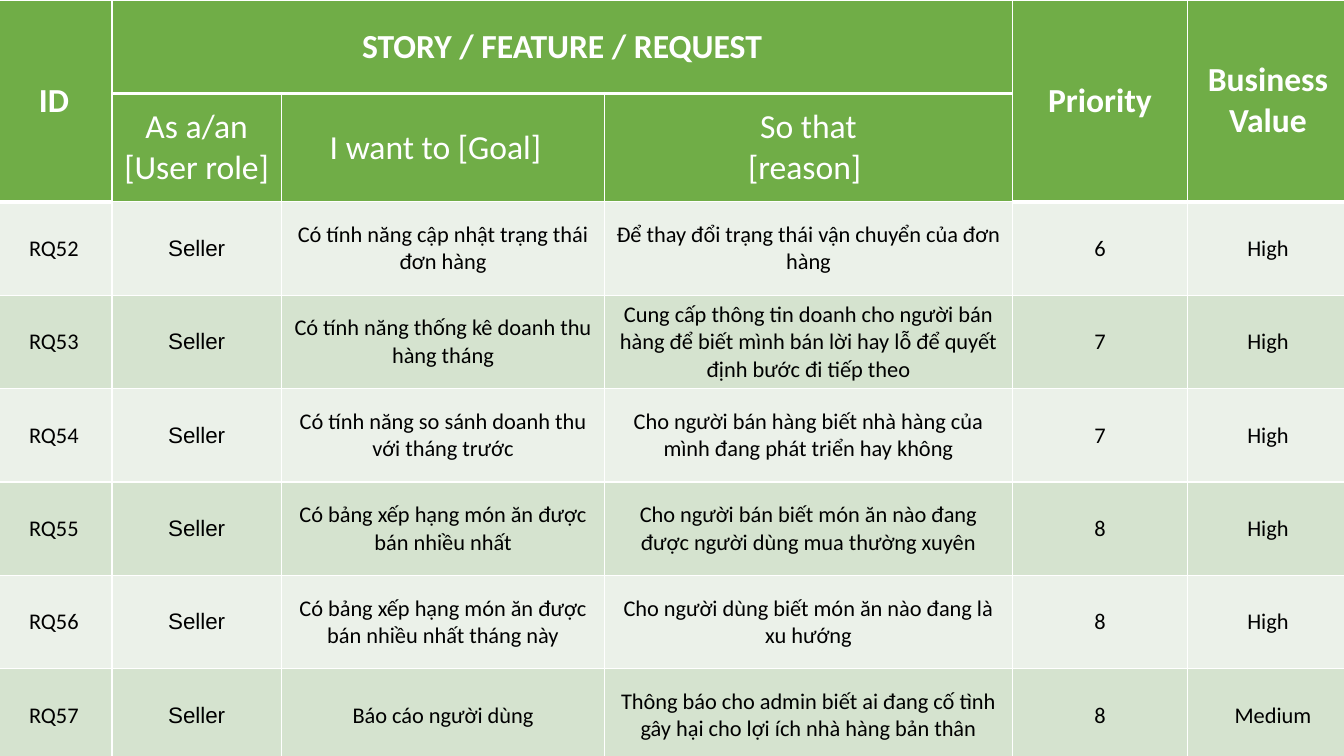
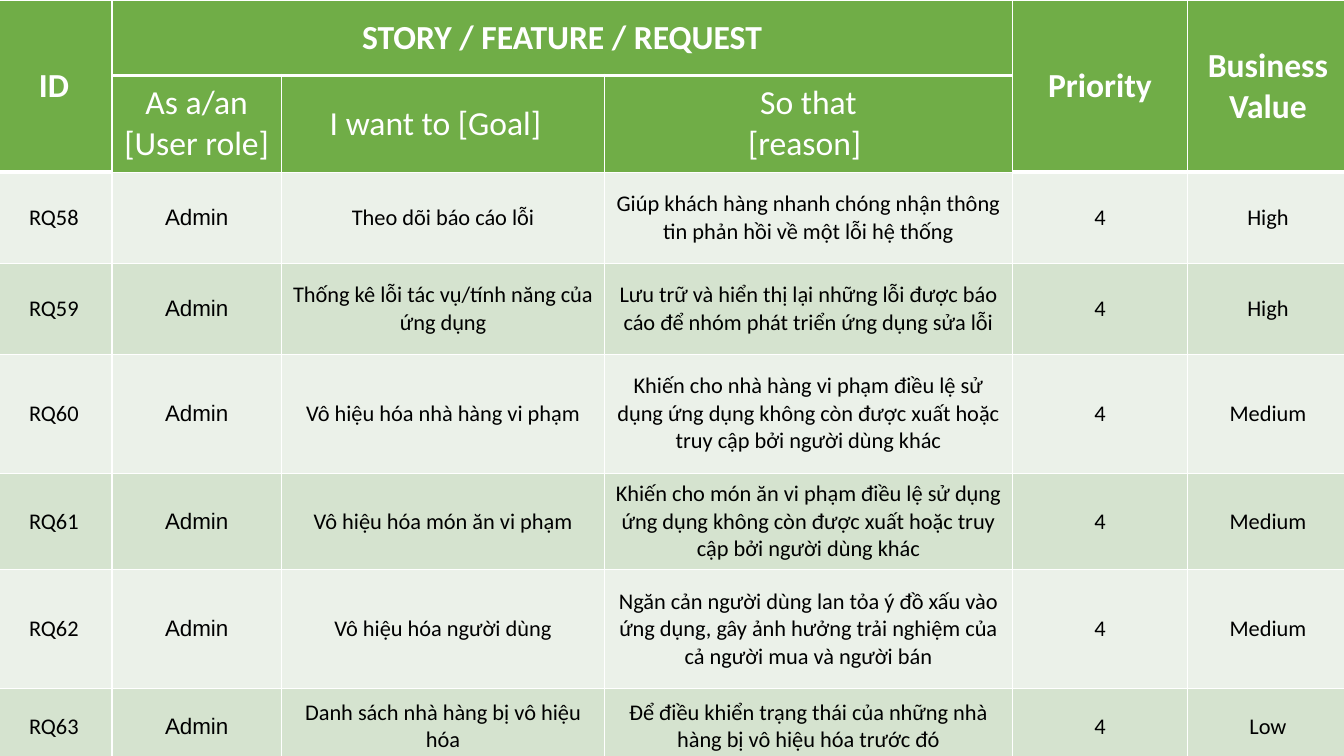
from dataclasses import dataclass

from lxml import etree
from pptx import Presentation
from pptx.dml.color import RGBColor
from pptx.enum.text import MSO_ANCHOR, PP_ALIGN
from pptx.oxml.ns import qn
from pptx.util import Pt

CENTER = PP_ALIGN.CENTER
MIDDLE = MSO_ANCHOR.MIDDLE

COLORS = {
    "header": "70AD47",
    "light": "EBF1E9",
    "dark": "D5E3CF",
    "line": "FFFFFF",
    "header_text": "FFFFFF",
    "body_text": "000000",
}
BODY_FONT, ROLE_FONT = "Calibri", "Arial"
HEADER_SIZE, BODY_SIZE = 24, 16
THIN, THICK = 1, 3
MARGIN = 7.2
TABLE_LEFT = -3
COLUMN_WIDTHS = [83, 121, 231, 291, 125.5, 114.5]
HEADER_ROWS = 2
TALL_HEADERS = (0, 4, 5)
ROLE_COLUMN = 1


@dataclass
class Header:
    row: int
    col: int
    text: str
    rows: int = 1
    cols: int = 1
    bold: bool = True
    shift: float = 0


@dataclass
class Requirement:
    code: str
    goal: str
    reason: str
    priority: int
    value: str
    value_shift: float = 0


@dataclass
class Backlog:
    role: str
    row_heights: list[float]
    requirements: list[Requirement]


HEADERS = [
    Header(0, 0, "ID", rows=2),
    Header(0, 1, "STORY / FEATURE / REQUEST", cols=3),
    Header(0, 4, "Priority", rows=2),
    Header(0, 5, "Business Value", rows=2),
    Header(1, 1, "As a/an\n[User role]", bold=False),
    Header(1, 2, "I want to [Goal]", bold=False, shift=-10.8),
    Header(1, 3, "So that\n[reason] ", bold=False),
]

BACKLOGS = [
    Backlog("Seller", [66.7, 77.5] + [66.7] * 6, [
        Requirement("RQ52", "Có tính năng cập nhật trạng thái đơn hàng",
                    "Để thay đổi trạng thái vận chuyển của đơn hàng", 6, "High"),
        Requirement("RQ53", "Có tính năng thống kê doanh thu hàng tháng",
                    "Cung cấp thông tin doanh cho người bán hàng để biết mình "
                    "bán lời hay lỗ để quyết định bước đi tiếp theo", 7, "High"),
        Requirement("RQ54", "Có tính năng so sánh doanh thu với tháng trước",
                    "Cho người bán hàng biết nhà hàng của mình đang phát triển "
                    "hay không", 7, "High"),
        Requirement("RQ55", "Có bảng xếp hạng món ăn được bán nhiều nhất",
                    "Cho người bán biết món ăn nào đang được người dùng mua "
                    "thường xuyên", 8, "High"),
        Requirement("RQ56", "Có bảng xếp hạng món ăn được bán nhiều nhất tháng này",
                    "Cho người dùng biết món ăn nào đang là xu hướng", 8, "High"),
        Requirement("RQ57", "Báo cáo người dùng",
                    "Thông báo cho admin biết ai đang cố tình gây hại cho lợi "
                    "ích nhà hàng bản thân", 8, "Medium", value_shift=7.2),
    ]),
    Backlog("Admin", [54, 69, 65, 65, 85, 69, 85, 54], [
        Requirement("RQ58", "Theo dõi báo cáo lỗi",
                    "Giúp khách hàng nhanh chóng nhận thông tin phản hồi về "
                    "một lỗi hệ thống", 4, "High"),
        Requirement("RQ59", "Thống kê lỗi tác vụ/tính năng của ứng dụng",
                    "Lưu trữ và hiển thị lại những lỗi được báo cáo để nhóm "
                    "phát triển ứng dụng sửa lỗi", 4, "High"),
        Requirement("RQ60", "Vô hiệu hóa nhà hàng vi phạm",
                    "Khiến cho nhà hàng vi phạm điều lệ sử dụng ứng dụng không "
                    "còn được xuất hoặc truy cập bởi người dùng khác", 4, "Medium"),
        Requirement("RQ61", "Vô hiệu hóa món ăn vi phạm",
                    "Khiến cho món ăn vi phạm điều lệ sử dụng ứng dụng không "
                    "còn được xuất hoặc truy cập bởi người dùng khác", 4, "Medium"),
        Requirement("RQ62", "Vô hiệu hóa người dùng",
                    "Ngăn cản người dùng lan tỏa ý đồ xấu vào ứng dụng, gây ảnh "
                    "hưởng trải nghiệm của cả người mua và người bán", 4, "Medium"),
        Requirement("RQ63", "Danh sách nhà hàng bị vô hiệu hóa",
                    "Để điều khiển trạng thái của những nhà hàng bị vô hiệu hóa "
                    "trước đó", 4, "Low"),
    ]),
]


def rgb(name: str) -> RGBColor:
    return RGBColor.from_string(COLORS[name])


def width_below(row: int, col: int) -> int:
    """Width of the line under a cell: thick under the bold headers."""
    thick = row == 0 or (row == 1 and col in TALL_HEADERS)
    return THICK if thick else THIN


def set_borders(cell, row: int, col: int) -> None:
    top = width_below(row - 1, col) if row else THIN
    widths = {"L": THIN, "R": THIN, "T": top, "B": width_below(row, col)}
    tc_pr = cell._tc.get_or_add_tcPr()
    for side, width in widths.items():
        ln = etree.SubElement(tc_pr, qn(f"a:ln{side}"), w=str(Pt(width)))
        fill = etree.SubElement(ln, qn("a:solidFill"))
        etree.SubElement(fill, qn("a:srgbClr"), val=COLORS["line"])


def fill_cell(cell, fill: str) -> None:
    cell.fill.solid()
    cell.fill.fore_color.rgb = rgb(fill)


def write_cell(cell, text: str, size: float, color: str, font: str = BODY_FONT,
               bold: bool = False, shift: float = 0) -> None:
    """Write centred text; a shift widens the left (+) or right (-) margin."""
    cell.text = text
    cell.vertical_anchor = MIDDLE
    cell.margin_left = Pt(MARGIN + max(shift, 0))
    cell.margin_right = Pt(MARGIN + max(-shift, 0))
    for p in cell.text_frame.paragraphs:
        p.alignment = CENTER
        p.font.name = font
        p.font.size = Pt(size)
        p.font.bold = bold
        p.font.color.rgb = rgb(color)


def add_backlog(s, backlog: Backlog) -> None:
    heights = backlog.row_heights
    table = s.shapes.add_table(
        len(heights), len(COLUMN_WIDTHS), Pt(TABLE_LEFT), Pt(0),
        Pt(sum(COLUMN_WIDTHS)), Pt(sum(heights))).table
    table.first_row = table.horz_banding = False
    for column, width in zip(table.columns, COLUMN_WIDTHS):
        column.width = Pt(width)
    for row, height in enumerate(heights):
        table.rows[row].height = Pt(height)
        band = "dark" if row % 2 else "light"
        for col in range(len(COLUMN_WIDTHS)):
            cell = table.cell(row, col)
            set_borders(cell, row, col)
            fill_cell(cell, "header" if row < HEADER_ROWS else band)

    for h in HEADERS:
        cell = table.cell(h.row, h.col)
        if h.rows * h.cols > 1:
            cell.merge(table.cell(h.row + h.rows - 1, h.col + h.cols - 1))
        write_cell(cell, h.text, HEADER_SIZE, "header_text",
                   bold=h.bold, shift=h.shift)

    for row, req in enumerate(backlog.requirements, HEADER_ROWS):
        texts = [req.code, backlog.role, req.goal, req.reason,
                 str(req.priority), req.value]
        for col, text in enumerate(texts):
            write_cell(table.cell(row, col), text, BODY_SIZE, "body_text",
                       font=ROLE_FONT if col == ROLE_COLUMN else BODY_FONT,
                       shift=req.value_shift if col == len(texts) - 1 else 0)


def main() -> None:
    prs = Presentation()
    prs.slide_width, prs.slide_height = Pt(960), Pt(540)
    blank = prs.slide_layouts.get_by_name("Blank")
    for backlog in BACKLOGS:
        add_backlog(prs.slides.add_slide(blank), backlog)
    prs.save("out.pptx")


if __name__ == "__main__":
    main()
